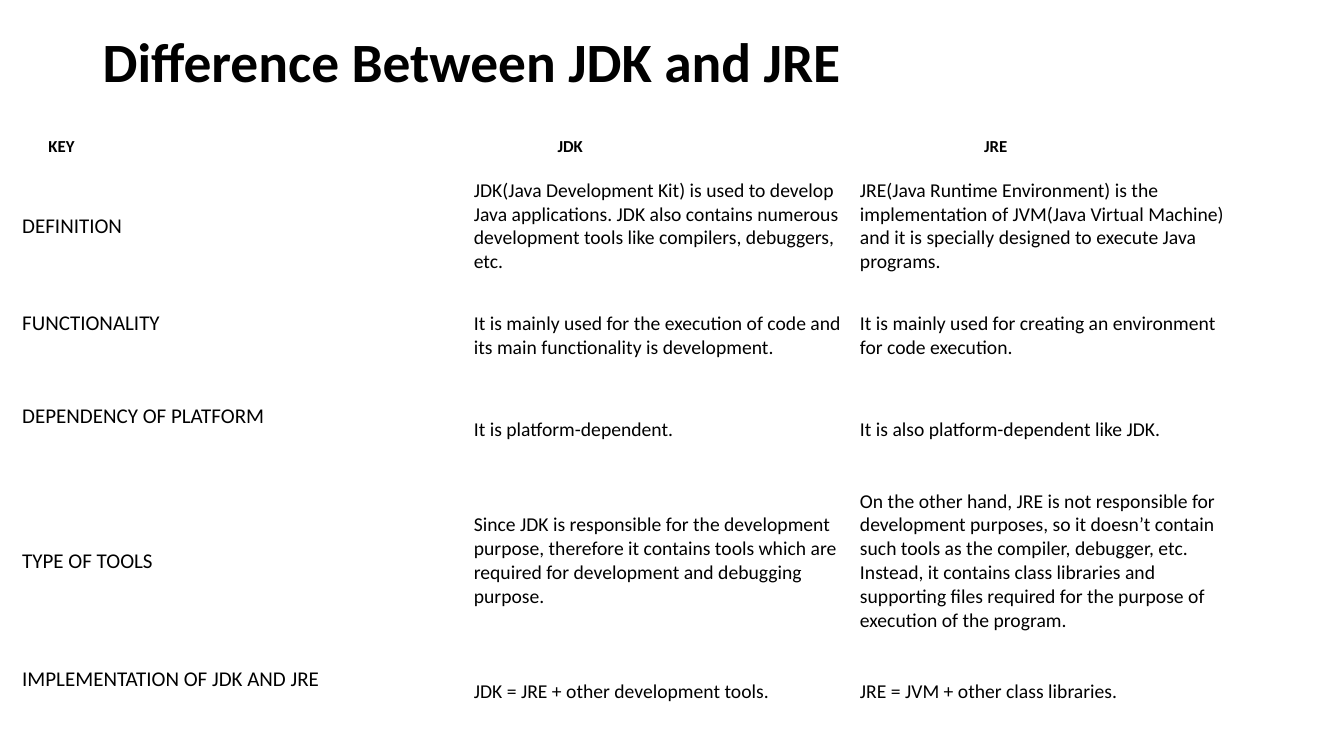
from pptx import Presentation
from pptx.dml.color import RGBColor
from pptx.enum.text import MSO_ANCHOR
from pptx.util import Inches, Pt

FONT, BLACK = "Calibri", "000000"
TITLE = "Difference Between JDK and JRE"
HEADERS = ["KEY", "JDK", "JRE"]
HEADER_INDENTS = [0.34, 0.9, 1.3]
ROWS = [
    ("DEFINITION",
     "JDK(Java Development Kit) is used to develop Java applications. JDK also "
     "contains numerous development tools like compilers, debuggers, etc.",
     "JRE(Java Runtime Environment) is the implementation of JVM(Java Virtual "
     "Machine) and it is specially designed to execute Java programs."),
    ("FUNCTIONALITY",
     "It is mainly used for the execution of code and its main functionality "
     "is development.",
     "It is mainly used for creating an environment for code execution."),
    ("DEPENDENCY OF PLATFORM",
     "It is platform-dependent.",
     "It is also platform-dependent like JDK."),
    ("TYPE OF TOOLS",
     "Since JDK is responsible for the development purpose, therefore it "
     "contains tools which are required for development and debugging purpose.",
     "On the other hand, JRE is not responsible for development purposes, so it "
     "doesn’t contain such tools as the compiler, debugger, etc. Instead, it "
     "contains class libraries and supporting files required for the purpose "
     "of execution of the program."),
    ("IMPLEMENTATION OF JDK AND JRE",
     "JDK = JRE + other development tools.",
     "JRE = JVM + other class libraries."),
]
RAISED_LABELS = {"FUNCTIONALITY", "DEPENDENCY OF PLATFORM",
                 "IMPLEMENTATION OF JDK AND JRE"}
COL_WIDTHS = [4.49, 3.83, 3.83]
ROW_HEIGHTS = [0.37, 1.21, 0.96, 0.9, 1.71, 0.89]


def rgb(color):
    return RGBColor.from_string(color)


def write(tf, text, size, bold=False, color=BLACK, spacing=None):
    p = tf.paragraphs[0]
    if spacing:
        p.line_spacing = spacing
    r = p.add_run()
    r.text = text
    r.font.name, r.font.size, r.font.bold = FONT, Pt(size), bold
    r.font.color.rgb = rgb(color)


def fill_cell(cell, text, margins, **fmt):
    """Write a cell; margins are left, top, right, bottom in inches."""
    cell.fill.background()
    cell.vertical_anchor = MSO_ANCHOR.MIDDLE
    (cell.margin_left, cell.margin_top,
     cell.margin_right, cell.margin_bottom) = map(Inches, margins)
    write(cell.text_frame, text, **fmt)


prs = Presentation()
prs.slide_width, prs.slide_height = Inches(13.33), Inches(7.5)
s = prs.slides.add_slide(prs.slide_layouts[6])

title = s.shapes.add_textbox(Inches(0.92), Inches(0.38), Inches(11.5), Inches(0.52))
tf = title.text_frame
tf.word_wrap = True
tf.vertical_anchor = MSO_ANCHOR.MIDDLE
write(tf, TITLE, size=39.6, bold=True, spacing=0.9)

table = s.shapes.add_table(
    len(ROW_HEIGHTS), len(COL_WIDTHS), Inches(0.14), Inches(1.27),
    Inches(sum(COL_WIDTHS)), Inches(sum(ROW_HEIGHTS))).table
table.first_row = table.horz_banding = False
for column, width in zip(table.columns, COL_WIDTHS):
    column.width = Inches(width)
for row, height in zip(table.rows, ROW_HEIGHTS):
    row.height = Inches(height)

for j, (header, indent) in enumerate(zip(HEADERS, HEADER_INDENTS)):
    fill_cell(table.cell(0, j), header, (indent, 0.07, 0.07, 0.07), size=12, bold=True)
for i, (label, *details) in enumerate(ROWS, 1):
    bottom = 0.29 if label in RAISED_LABELS else 0.04
    fill_cell(table.cell(i, 0), label, (0.08, 0.04, 0.08, bottom), size=15)
    for j, detail in enumerate(details, 1):
        fill_cell(table.cell(i, j), detail, (0.07, 0.1, 0.07, 0.1), size=14)

prs.save("out.pptx")
